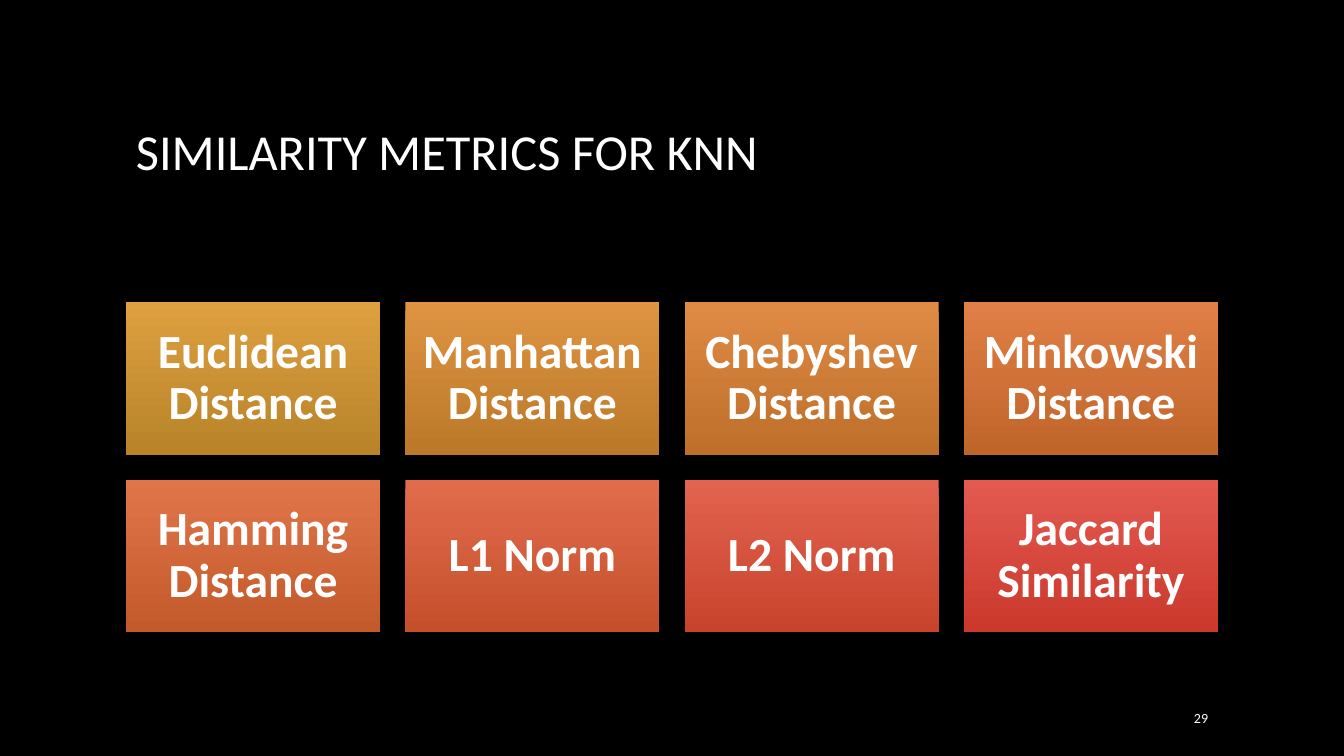
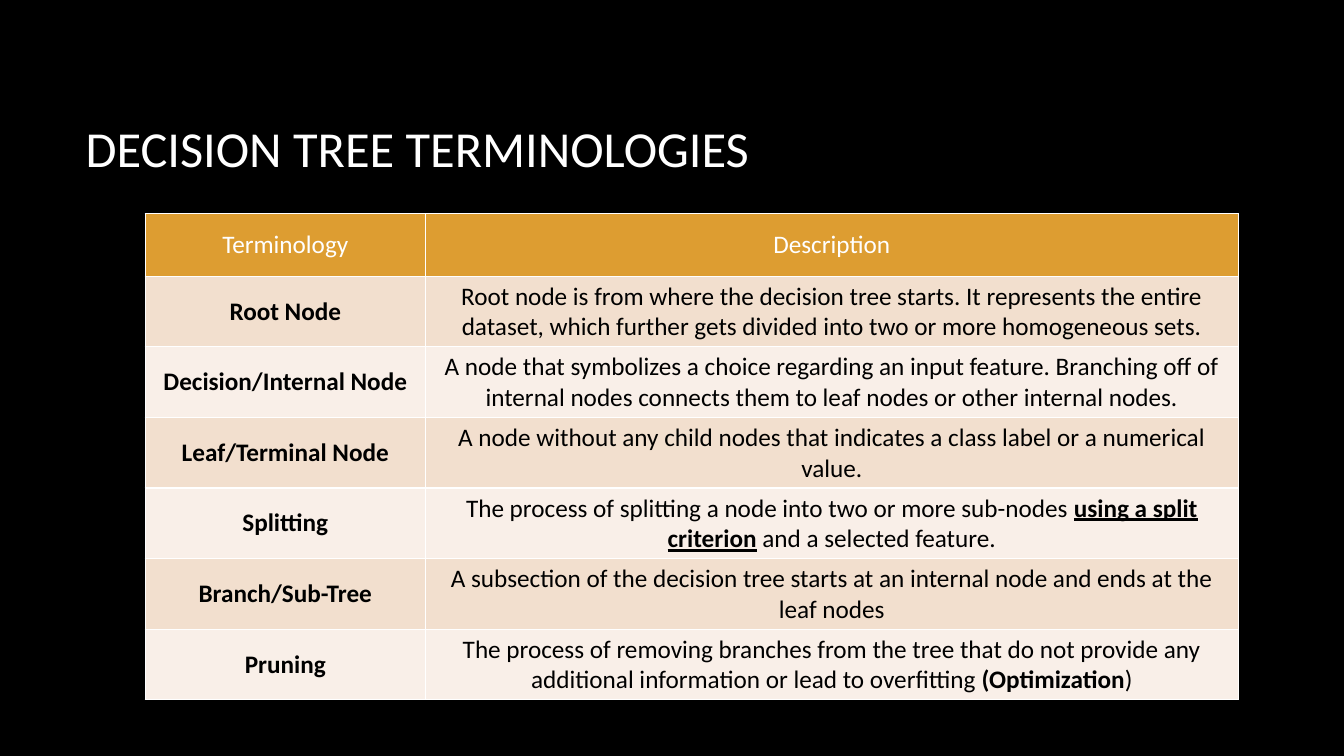
from dataclasses import dataclass

from pptx import Presentation
from pptx.dml.color import RGBColor
from pptx.enum.shapes import MSO_SHAPE
from pptx.enum.text import MSO_ANCHOR, PP_ALIGN
from pptx.oxml import parse_xml
from pptx.oxml.ns import nsdecls
from pptx.util import Inches, Pt

FONT = "Calibri"
COLORS = {
    "background": "000000",
    "light": "FFFFFF",
    "dark": "000000",
    "header": "DD9D31",
    "odd_row": "F2DFCE",
    "even_row": "F9EFE8",
}


@dataclass
class Run:
    text: str
    bold: bool = False
    underline: bool = False


@dataclass
class Tile:
    text: str
    top_color: str
    bottom_color: str


@dataclass
class Term:
    name: str
    description: list[Run]


TILES = [
    Tile("Euclidean Distance", "DEA040", "B88329"),
    Tile("Manhattan Distance", "DE9442", "BB7929"),
    Tile("Chebyshev Distance", "DF8A45", "BE6F2A"),
    Tile("Minkowski Distance", "E07F47", "C0652A"),
    Tile("Hamming Distance", "E1754A", "C35A2B"),
    Tile("L1 Norm", "E16C4C", "C54F2B"),
    Tile("L2 Norm", "E2634F", "C8432C"),
    Tile("Jaccard Similarity", "E35A51", "CB382C"),
]

TERMS = [
    Term("Root Node", [Run(
        "Root node is from where the decision tree starts. It represents the entire "
        "dataset, which further gets divided into two or more homogeneous sets.")]),
    Term("Decision/Internal Node", [Run(
        "A node that symbolizes a choice regarding an input feature. Branching off of "
        "internal nodes connects them to leaf nodes or other internal nodes.")]),
    Term("Leaf/Terminal Node", [Run(
        "A node without any child nodes that indicates a class label or a numerical value.")]),
    Term("Splitting", [
        Run("The process of splitting a node into two or more sub-nodes "),
        Run("using a split criterion", bold=True, underline=True),
        Run(" and a selected feature."),
    ]),
    Term("Branch/Sub-Tree", [Run(
        "A subsection of the decision tree starts at an internal node and ends at the leaf nodes")]),
    Term("Pruning", [
        Run("The process of removing branches from the tree that do not provide any "
            "additional information or lead to overfitting "),
        Run("(Optimization", bold=True),
        Run(")"),
    ]),
]


def rgb(name: str) -> RGBColor:
    return RGBColor.from_string(COLORS.get(name, name))


def write(tf, runs: list[Run], size: float, color: str = "light",
          align=PP_ALIGN.CENTER, spacing: float = 1.0) -> None:
    p = tf.paragraphs[0]
    p.alignment = align
    p.line_spacing = spacing
    for run in runs:
        r = p.add_run()
        r.text = run.text
        r.font.name = FONT
        r.font.size = Pt(size)
        r.font.bold = run.bold
        r.font.underline = run.underline
        r.font.color.rgb = rgb(color)


def add_text(slide, text: str, left: float, top: float, width: float, height: float,
             size: float, align=PP_ALIGN.LEFT) -> None:
    sp = slide.shapes.add_textbox(Inches(left), Inches(top), Inches(width), Inches(height))
    tf = sp.text_frame
    tf.word_wrap = True
    tf.vertical_anchor = MSO_ANCHOR.MIDDLE
    write(tf, [Run(text)], size=size, align=align)


def add_slide(prs, title: str, left: float, top: float, width: float, height: float):
    slide = prs.slides.add_slide(prs.slide_layouts[6])
    fill = slide.background.fill
    fill.solid()
    fill.fore_color.rgb = rgb("background")
    add_text(slide, title, left, top, width, height, size=36)
    return slide


def add_tile(slide, tile: Tile, left: float, top: float, width: float, height: float) -> None:
    sp = slide.shapes.add_shape(
        MSO_SHAPE.RECTANGLE, Inches(left), Inches(top), Inches(width), Inches(height))
    sp.shadow.inherit = False
    sp.line.fill.background()
    sp.fill.gradient()
    sp.fill.gradient_angle = 270
    for stop, color in zip(sp.fill.gradient_stops, (tile.top_color, tile.bottom_color)):
        stop.color.rgb = rgb(color)
    tf = sp.text_frame
    tf.word_wrap = True
    tf.vertical_anchor = MSO_ANCHOR.MIDDLE
    tf.margin_left = tf.margin_right = tf.margin_top = tf.margin_bottom = Inches(0.14)
    write(tf, [Run(tile.text, bold=True)], size=34, spacing=0.9)


def fill_cell(cell, runs: list[Run], fill: str, color: str) -> None:
    tc_pr = cell._tc.get_or_add_tcPr()
    for side in ("lnL", "lnR", "lnT", "lnB"):
        tc_pr.append(parse_xml(
            f'<a:{side} {nsdecls("a")} w="{Pt(1)}"><a:solidFill>'
            f'<a:srgbClr val="{COLORS["light"]}"/></a:solidFill></a:{side}>'))
    cell.fill.solid()
    cell.fill.fore_color.rgb = rgb(fill)
    cell.vertical_anchor = MSO_ANCHOR.MIDDLE
    write(cell.text_frame, runs, size=18, color=color)


def add_terms_table(slide, left: float, top: float) -> None:
    widths = (2.78, 8.06)
    heights = [0.62] + [0.7] * len(TERMS)
    table = slide.shapes.add_table(
        len(heights), len(widths), Inches(left), Inches(top),
        Inches(sum(widths)), Inches(sum(heights))).table
    table.horz_banding = False
    for col, width in zip(table.columns, widths):
        col.width = Inches(width)
    for row, height in zip(table.rows, heights):
        row.height = Inches(height)
    for j, heading in enumerate(("Terminology", "Description")):
        fill_cell(table.cell(0, j), [Run(heading)], "header", "light")
    for i, term in enumerate(TERMS, start=1):
        fill = "odd_row" if i % 2 else "even_row"
        fill_cell(table.cell(i, 0), [Run(term.name, bold=True)], fill, "dark")
        fill_cell(table.cell(i, 1), term.description, fill, "dark")


def build_metrics(prs) -> None:
    slide = add_slide(prs, "SIMILARITY METRICS FOR KNN", 1.25, 0.68, 10.83, 1.62)
    columns, width, height, gap = 4, 2.52, 1.51, 0.25
    for i, tile in enumerate(TILES):
        row, col = divmod(i, columns)
        add_tile(slide, tile, 1.25 + col * (width + gap), 3 + row * (height + gap), width, height)
    add_text(slide, "29", 11.24, 6.92, 0.84, 0.4, size=10, align=PP_ALIGN.RIGHT)


def build_terminologies(prs) -> None:
    slide = add_slide(prs, "DECISION TREE TERMINOLOGIES", 0.75, 0.67, 11.08, 1.59)
    add_terms_table(slide, 1.44, 2.12)


def main() -> None:
    prs = Presentation()
    prs.slide_width = Inches(13.33)
    prs.slide_height = Inches(7.5)
    build_metrics(prs)
    build_terminologies(prs)
    prs.save("out.pptx")


if __name__ == "__main__":
    main()
